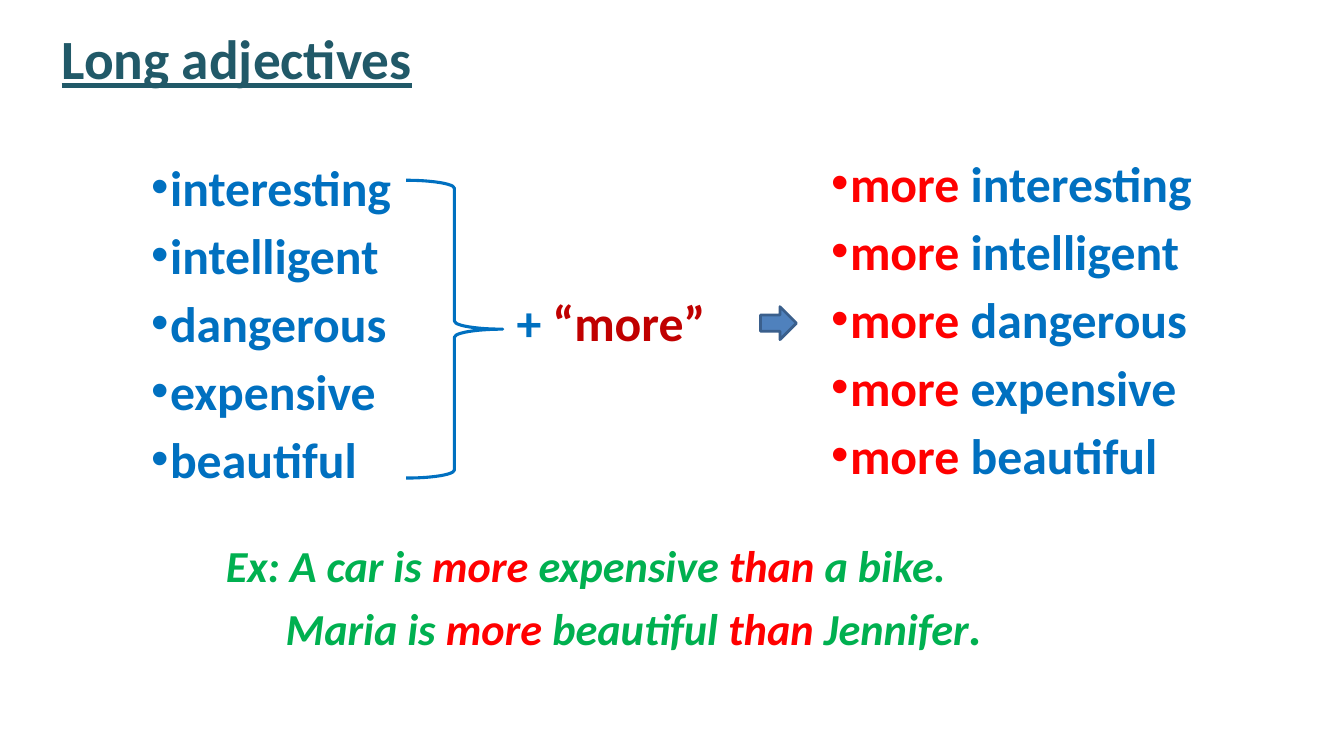
from pptx import Presentation
from pptx.dml.color import RGBColor
from pptx.enum.shapes import MSO_SHAPE
from pptx.oxml.ns import qn
from pptx.util import Inches, Pt
from lxml.etree import SubElement

COLORS = {"blue": "0070C0", "red": "FF0000", "dark_red": "C00000",
          "teal": "215968", "green": "00B050", "arrow": "4F81BD",
          "arrow_line": "3A5F8C"}
ADJECTIVES = ["interesting", "intelligent", "dangerous", "expensive", "beautiful"]
TITLE = [[("Long adjectives", "teal")]]
RULE = [[("+ ", "blue"), ("“more”", "dark_red")]]
EXAMPLES = [
    [("Ex: A car is ", "green"), ("more", "red"), (" expensive ", "green"),
     ("than", "red"), (" a bike.", "green")],
    [("Maria is ", "green"), ("more", "red"), (" beautiful ", "green"),
     ("than", "red"), (" Jennifer", "green"), (".", "green", 36)],
]
BASE = [[(word, "blue")] for word in ADJECTIVES]
COMPARATIVES = [[("more", "red"), (f" {word}", "blue")] for word in ADJECTIVES]


def rgb(name):
    return RGBColor.from_string(COLORS[name])


def add_text(s, box, lines, size=36, bullets=False, wrap=True, italic=False,
             underline=None, indents=()):
    tf = s.shapes.add_textbox(*map(Inches, box)).text_frame
    tf.word_wrap = wrap
    for i, line in enumerate(lines):
        p = tf.add_paragraph() if i else tf.paragraphs[0]
        pPr = p._p.get_or_add_pPr()
        if bullets:
            pPr.set("marL", str(Inches(0.19)))
            pPr.set("indent", str(-Inches(0.19)))
            SubElement(pPr, qn("a:buFont")).set("typeface", "Arial")
            SubElement(pPr, qn("a:buChar")).set("char", "•")
        elif indents:
            pPr.set("marL", str(Inches(indents[i])))
        p.line_spacing = 1.0 if bullets else 0.9
        if i:
            p.space_before = Pt(6 if bullets else 7.5)
        for text, color, *special in line:
            r = p.add_run()
            r.text = text
            font = r.font
            font.name = "Calibri"
            font.size = Pt(special[0] if special else size)
            font.bold = True
            font.italic = italic
            font.underline = underline
            font.color.rgb = rgb(color)


def add_outline(s, kind, box, line, width, fill=None):
    sp = s.shapes.add_shape(kind, *map(Inches, box))
    sp.shadow.inherit = False
    sp.line.color.rgb = rgb(line)
    sp.line.width = Pt(width)
    if fill:
        sp.fill.solid()
        sp.fill.fore_color.rgb = rgb(fill)
    else:
        sp.fill.background()


def main():
    """Build the slide on comparatives of long adjectives."""
    prs = Presentation()
    prs.slide_width, prs.slide_height = Inches(13.5), Inches(7.5)
    s = prs.slides.add_slide(prs.slide_layouts[6])
    add_outline(s, MSO_SHAPE.RIGHT_BRACE, (4.08, 1.81, 0.97, 2.99), "blue", 2.25)
    add_text(s, (5.09, 2.95, 2.91, 0.92), RULE)
    add_text(s, (1.42, 1.52, 3.14, 3.55), BASE, bullets=True)
    add_text(s, (0.52, 0.27, 3.77, 0.71), TITLE, size=40, wrap=False, underline=True)
    add_text(s, (2.17, 5.42, 9.35, 1.24), EXAMPLES, size=32, italic=True,
             indents=(0, 0.6))
    add_outline(s, MSO_SHAPE.RIGHT_ARROW, (7.64, 3.08, 0.36, 0.33),
                "arrow_line", 2, "arrow")
    add_text(s, (8.25, 1.48, 4.24, 3.55), COMPARATIVES, bullets=True)
    prs.save("out.pptx")


if __name__ == "__main__":
    main()
